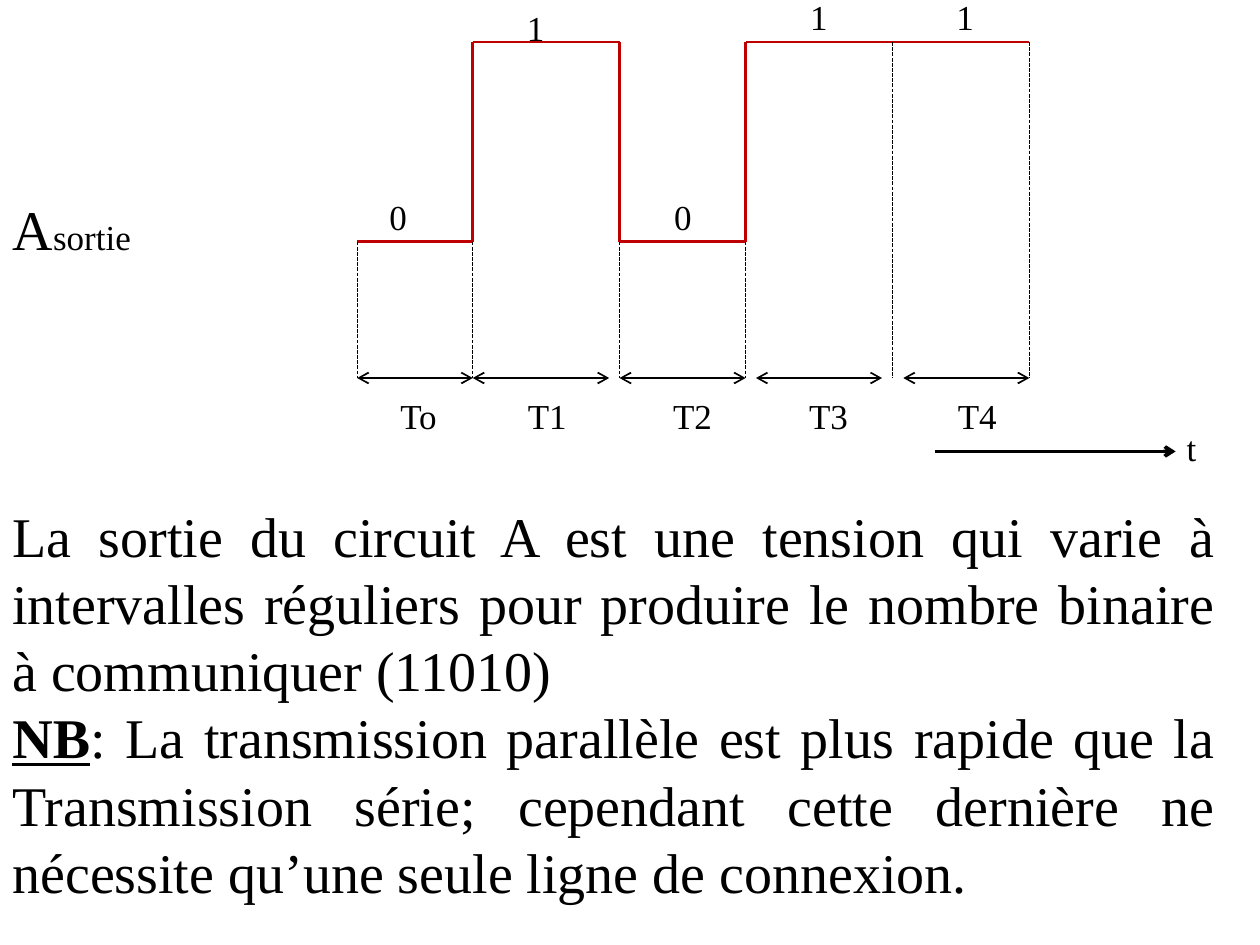
from lxml import etree
from pptx import Presentation
from pptx import util as u
from pptx.dml.color import RGBColor
from pptx.enum import dml, shapes, text
from pptx.oxml import ns

COLORS = {"ink": "000000", "signal": "C00000"}
FONT = "Times New Roman"

deck = Presentation()
deck.slide_width, deck.slide_height = u.Cm(25.4), u.Cm(19.05)
page = deck.slides.add_slide(deck.slide_layouts[1])
page.shapes.title.element.getparent().remove(page.shapes.title.element)


def draw_line(x1, y1, x2, y2, color="ink", width=1, dashed=False, arrows=()):
    line = page.shapes.add_connector(
        shapes.MSO_CONNECTOR.STRAIGHT, u.Cm(x1), u.Cm(y1), u.Cm(x2), u.Cm(y2))
    line.line.color.rgb = RGBColor.from_string(COLORS[color])
    line.line.width = u.Pt(width)
    if dashed:
        line.line.dash_style = dml.MSO_LINE.SQUARE_DOT
    for end in arrows:
        etree.SubElement(line.line._get_or_add_ln(), ns.qn(f"a:{end}"), type="arrow")
    etree.SubElement(line.element.spPr, ns.qn("a:effectLst"))


def style(para, size):
    para.font.name = FONT
    para.font.size = u.Pt(size)
    para.font.color.rgb = RGBColor.from_string(COLORS["ink"])


name_box = page.placeholders[1]
name_box.left, name_box.top = u.Cm(0), u.Cm(3.8)
name_box.width, name_box.height = u.Cm(7), u.Cm(1.6)
name_box.text_frame.auto_size = text.MSO_AUTO_SIZE.NONE
para = name_box.text_frame.paragraphs[0]
style(para, 32)
para.space_before = u.Pt(0)
properties = para._p.get_or_add_pPr()
properties.set("marL", "0")
properties.set("indent", "0")
etree.SubElement(properties, ns.qn("a:buNone"))
properties.append(properties.find(ns.qn("a:defRPr")))
for words, size in (("A", 32), ("sortie", 20)):
    span = para.add_run()
    span.text = words
    span.font.size = u.Pt(size)

HIGH, LOW, AXIS = 0.85, 4.87, 7.62
edges = [7.2, 9.53, 12.49, 15.03, 17.99, 20.75]
signal = [(edges[0], LOW), (edges[1], LOW), (edges[1], HIGH), (edges[2], HIGH),
          (edges[2], LOW), (edges[3], LOW), (edges[3], HIGH), (edges[5], HIGH)]
for start, end in zip(signal, signal[1:]):
    draw_line(*start, *end, color="signal", width=1.5)

for index, edge in enumerate(edges):
    draw_line(edge, LOW if index < 4 else HIGH, edge, AXIS, width=0.75, dashed=True)

intervals = [(7.2, 9.53), (9.53, 12.28), (12.49, 15.03), (15.24, 17.78), (18.21, 20.75)]
for start, end in intervals:
    draw_line(start, AXIS, end, AXIS, arrows=("headEnd", "tailEnd"))
draw_line(18.85, 9.1, 23.7, 9.1, width=2, arrows=("tailEnd",))

labels = [
    ("0", 7.6, 3.81, 0.86), ("0", 13.34, 3.81, 0.86), ("1", 10.37, 0, 0.86),
    ("1", 16.08, -0.21, 0.86), ("1", 19.03, -0.21, 0.86), ("t", 23.67, 8.47, 0.7),
]
for name, left in zip(("To", "T1", "T2", "T3", "T4"), (7.82, 10.39, 13.32, 16.06, 19.06)):
    labels.append((name, left, 7.83, 1.3))
for words, left, top, width in labels:
    box = page.shapes.add_textbox(u.Cm(left), u.Cm(top), u.Cm(width), u.Cm(1.11))
    box.text_frame.word_wrap = False
    para = box.text_frame.paragraphs[0]
    para.text = words
    style(para, 20)

box = page.shapes.add_textbox(u.Cm(0), u.Cm(9.98), u.Cm(24.77), u.Cm(8.38))
box.text_frame.word_wrap = True
explanation = [
    [("La sortie du circuit A est une tension qui varie à intervalles réguliers "
      "pour produire le nombre binaire à communiquer (11010)", False)],
    [("NB", True),
     (": La transmission parallèle est plus rapide que la Transmission série; "
      "cependant cette dernière ne nécessite qu’une seule ligne de connexion.", False)],
]
for index, parts in enumerate(explanation):
    para = box.text_frame.add_paragraph() if index else box.text_frame.paragraphs[0]
    style(para, 32)
    para.alignment = text.PP_ALIGN.JUSTIFY
    para.line_spacing = u.Pt(38.4)
    for words, marked in parts:
        span = para.add_run()
        span.text = words
        span.font.bold = span.font.underline = marked

deck.save("out.pptx")
